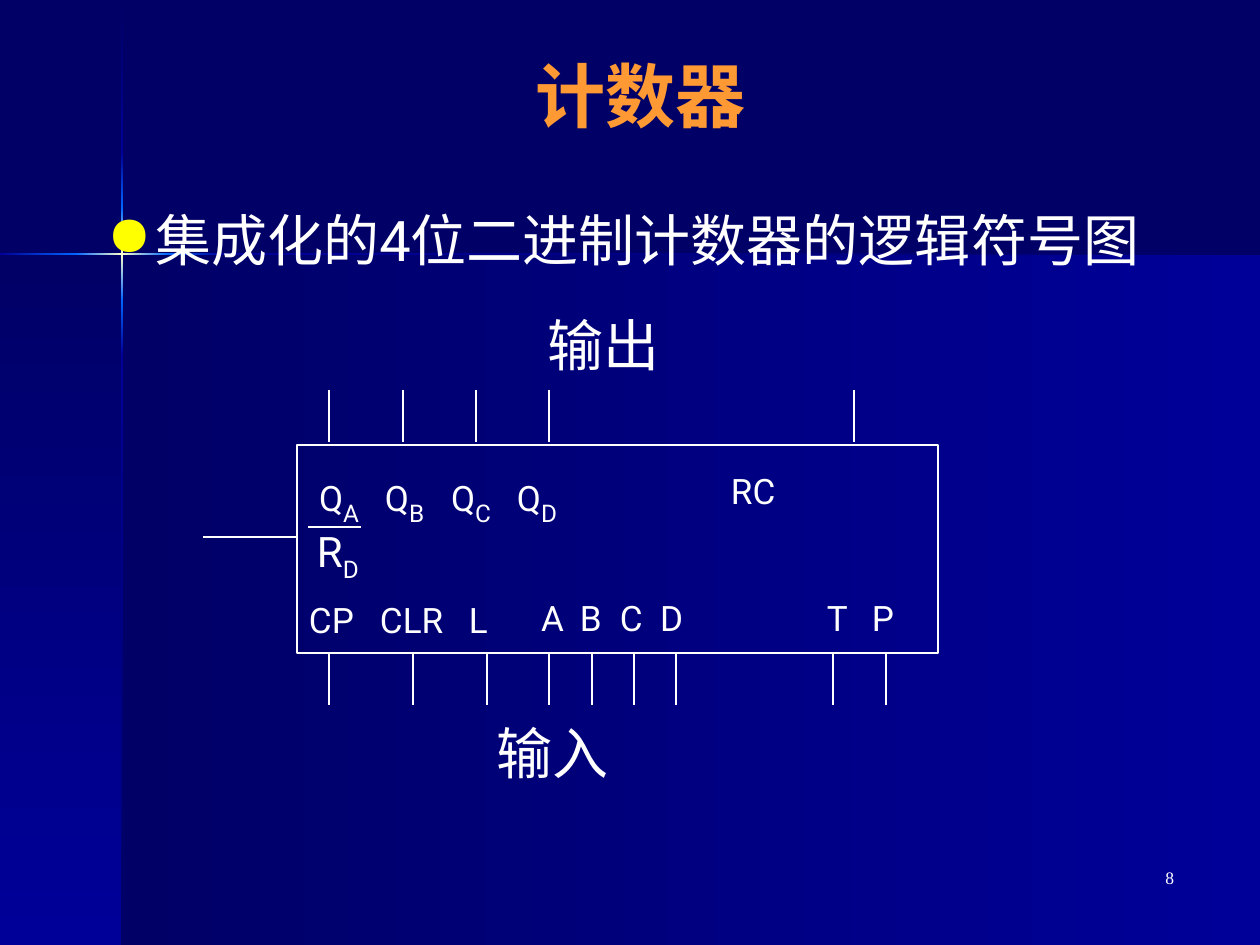
"""Build a slide with the logic symbol of an integrated 4-bit binary counter."""
from dataclasses import dataclass

from lxml.etree import SubElement
from pptx import Presentation
from pptx.dml.color import RGBColor
from pptx.enum.shapes import MSO_CONNECTOR as Connector, MSO_SHAPE as Preset
from pptx.enum.text import MSO_ANCHOR as Anchor, PP_ALIGN as Align
from pptx.oxml.ns import qn
from pptx.slide import Slide
from pptx.text.text import TextFrame, _Paragraph as Paragraph
from pptx.util import Emu, Pt


@dataclass(frozen=True)
class Theme:
    navy: str = "000066"
    blue: str = "000099"
    bright: str = "0066FF"
    cream: str = "FFFFCC"
    orange: str = "FF9933"
    yellow: str = "FFFF00"
    white: str = "FFFFFF"
    font: str = "Roboto"
    number_font: str = "Times New Roman"
    title: int = 40
    body: int = 32
    reset: int = 24
    subscript: int = 24
    pin: int = 20
    number: int = 10
    line: float = 0.75


@dataclass(frozen=True)
class Band:
    left: int
    top: int
    width: int
    height: int
    colors: tuple[str, ...]
    vertical: bool = False


@dataclass(frozen=True)
class PinLabel:
    text: str
    left: int
    top: int
    subscript: str = ""
    size: int = Theme.pin


THEME = Theme()
PX_PER_INCH = 126
FADE_IN = (THEME.navy, THEME.blue)
FADE_OUT = (THEME.blue, THEME.navy)
RISE = (THEME.blue, THEME.bright)
FALL = (THEME.bright, THEME.blue)
GLOW = (THEME.bright, THEME.cream, THEME.bright)

PANELS = [
    Band(122, 255, 1138, 690, FADE_IN),
    Band(0, 255, 122, 690, FADE_IN, True),
]
COLUMN = [(1, 153, FADE_IN), (355, 945, FADE_OUT), (300, 355, FALL), (153, 208, RISE), (208, 300, GLOW)]
ROW = [(223, 1260, FADE_OUT), (0, 76, RISE), (168, 223, FALL), (76, 168, GLOW)]
BANDS = (
    PANELS
    + [Band(121, start, 2, end - start, colors, True) for start, end, colors in COLUMN]
    + [Band(start, 253, end - start, 2, colors) for start, end, colors in ROW]
)

OUTPUT_PINS = (329, 403, 476, 549, 854)
INPUT_PINS = (329, 413, 487, 549, 592, 634, 676, 833, 886)
OUTPUT_TOP, CONTROL_TOP, DATA_TOP = 470, 599, 597
LABELS = [
    *(PinLabel("Q", 319 + 66 * index, OUTPUT_TOP, name) for index, name in enumerate("ABCD")),
    PinLabel("RC", 731, OUTPUT_TOP),
    PinLabel("R", 317, 526, "D", THEME.reset),
    *(PinLabel(name, left, CONTROL_TOP) for name, left in (("CP", 309), ("CLR", 380), ("L", 469))),
    *(PinLabel(name, left, DATA_TOP)
      for name, left in (("A", 541), ("B", 580), ("C", 620), ("D", 660), ("T", 827), ("P", 872))),
]


def px(length: int) -> Emu:
    """Turn pixels into EMU."""
    return Emu(round(length * 914400 / PX_PER_INCH))


def rgb(color: str) -> RGBColor:
    """Turn a hex string into a colour."""
    return RGBColor.from_string(color)


def add_span(para: Paragraph, text: str, size: int, color: str = THEME.white,
             font: str = THEME.font, bold: bool = False, baseline: int = 0) -> None:
    """Append one formatted run."""
    span = para.add_run()
    span.text = text
    span.font.size = Pt(size)
    span.font.bold = bold
    span.font.name = font
    span.font.color.rgb = rgb(color)
    properties = span._r.get_or_add_rPr()
    properties.set("lang", "zh-CN")
    SubElement(properties, qn("a:ea")).set("typeface", font)
    if baseline:
        properties.set("baseline", str(baseline))


def add_box(page: Slide, left: int, top: int, width: int, height: int) -> TextFrame:
    """Add a wrapping text box without insets."""
    frame = page.shapes.add_textbox(px(left), px(top), px(width), px(height)).text_frame
    frame.word_wrap = True
    frame.margin_left = frame.margin_right = frame.margin_top = frame.margin_bottom = 0
    return frame


def add_text(page: Slide, left: int, top: int, width: int, height: int, text: str,
             size: int, align: Align, font: str = THEME.font) -> None:
    """Add a box holding one aligned line."""
    para = add_box(page, left, top, width, height).paragraphs[0]
    para.alignment = align
    add_span(para, text, size, font=font)


def add_band(page: Slide, band: Band) -> None:
    """Add a rectangle with an evenly spaced gradient."""
    shape = page.shapes.add_shape(
        Preset.RECTANGLE, px(band.left), px(band.top), px(band.width), px(band.height))
    shape.shadow.inherit = False
    shape.line.fill.background()
    shape.fill.gradient()
    shape.fill.gradient_angle = 270 if band.vertical else 0
    stops = shape._element.spPr.find(".//" + qn("a:gsLst"))
    for stop in list(stops):
        stops.remove(stop)
    for index, color in enumerate(band.colors):
        position = index * 100000 // (len(band.colors) - 1)
        stop = SubElement(stops, qn("a:gs"), pos=str(position))
        SubElement(stop, qn("a:srgbClr"), val=color)


def add_line(page: Slide, x1: int, y1: int, x2: int, y2: int) -> None:
    """Add a thin white line."""
    line = page.shapes.add_connector(Connector.STRAIGHT, px(x1), px(y1), px(x2), px(y2))
    line.line.color.rgb = rgb(THEME.white)
    line.line.width = Pt(THEME.line)
    SubElement(line._element.spPr, qn("a:effectLst"))


def add_title(page: Slide, text: str) -> None:
    """Format the title placeholder and raise it above the bands."""
    title = page.shapes.title
    title.left, title.top, title.width, title.height = px(63), px(42), px(1155), px(105)
    title.text_frame.vertical_anchor = Anchor.MIDDLE
    para = title.text_frame.paragraphs[0]
    para.alignment = Align.CENTER
    add_span(para, text, THEME.title, THEME.orange, bold=True)
    page.shapes._spTree.append(title._element)


def add_bullet(page: Slide, text: str) -> None:
    """Add the bulleted heading of the diagram."""
    para = add_box(page, 107, 205, 1067, 80).paragraphs[0]
    properties = para._p.get_or_add_pPr()
    properties.set("marL", str(px(48)))
    properties.set("indent", str(px(-48)))
    SubElement(SubElement(properties, qn("a:buClr")), qn("a:srgbClr"), val=THEME.yellow)
    SubElement(properties, qn("a:buChar"), char="●")
    add_span(para, text, THEME.body)


def add_label(page: Slide, label: PinLabel) -> None:
    """Add a pin name with its optional subscript."""
    para = add_box(page, label.left, label.top, 70, 48).paragraphs[0]
    add_span(para, label.text, label.size)
    if label.subscript:
        add_span(para, label.subscript, THEME.subscript, baseline=-25000)


def add_symbol(page: Slide) -> None:
    """Draw the counter body with its pins and names."""
    body = page.shapes.add_shape(Preset.RECTANGLE, px(297), px(445), px(641), px(208))
    body.shadow.inherit = False
    body.fill.background()
    body.line.color.rgb = rgb(THEME.white)
    body.line.width = Pt(THEME.line)
    for label in LABELS:
        add_label(page, label)
    for pins, top, bottom in ((INPUT_PINS, 653, 705), (OUTPUT_PINS, 390, 442)):
        for x in pins:
            add_line(page, x, top, x, bottom)
    add_line(page, 308, 527, 361, 527)
    add_line(page, 203, 537, 297, 537)


def main() -> None:
    """Build and save the deck."""
    deck = Presentation()
    deck.slide_width, deck.slide_height = px(1260), px(945)
    page = deck.slides.add_slide(deck.slide_layouts[5])
    page.background.fill.solid()
    page.background.fill.fore_color.rgb = rgb(THEME.navy)
    for band in BANDS:
        add_band(page, band)
    add_title(page, "计数器")
    add_bullet(page, "集成化的4位二进制计数器的逻辑符号图")
    add_text(page, 924, 867, 250, 50, "8", THEME.number, Align.RIGHT, THEME.number_font)
    add_text(page, 484, 718, 137, 67, "输入", THEME.body, Align.CENTER)
    add_text(page, 535, 311, 137, 67, "输出", THEME.body, Align.CENTER)
    add_symbol(page)
    deck.save("out.pptx")


if __name__ == "__main__":
    main()
